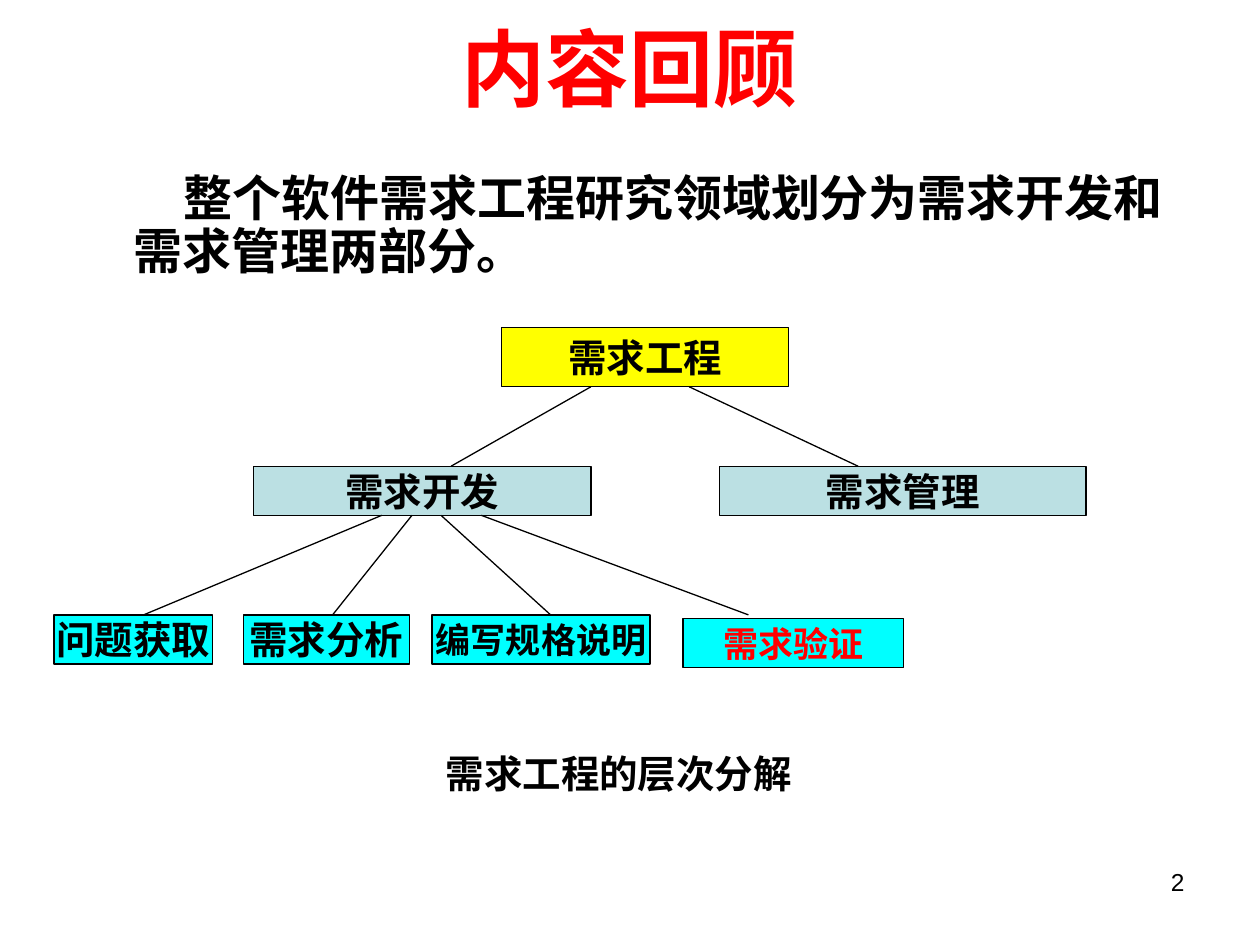
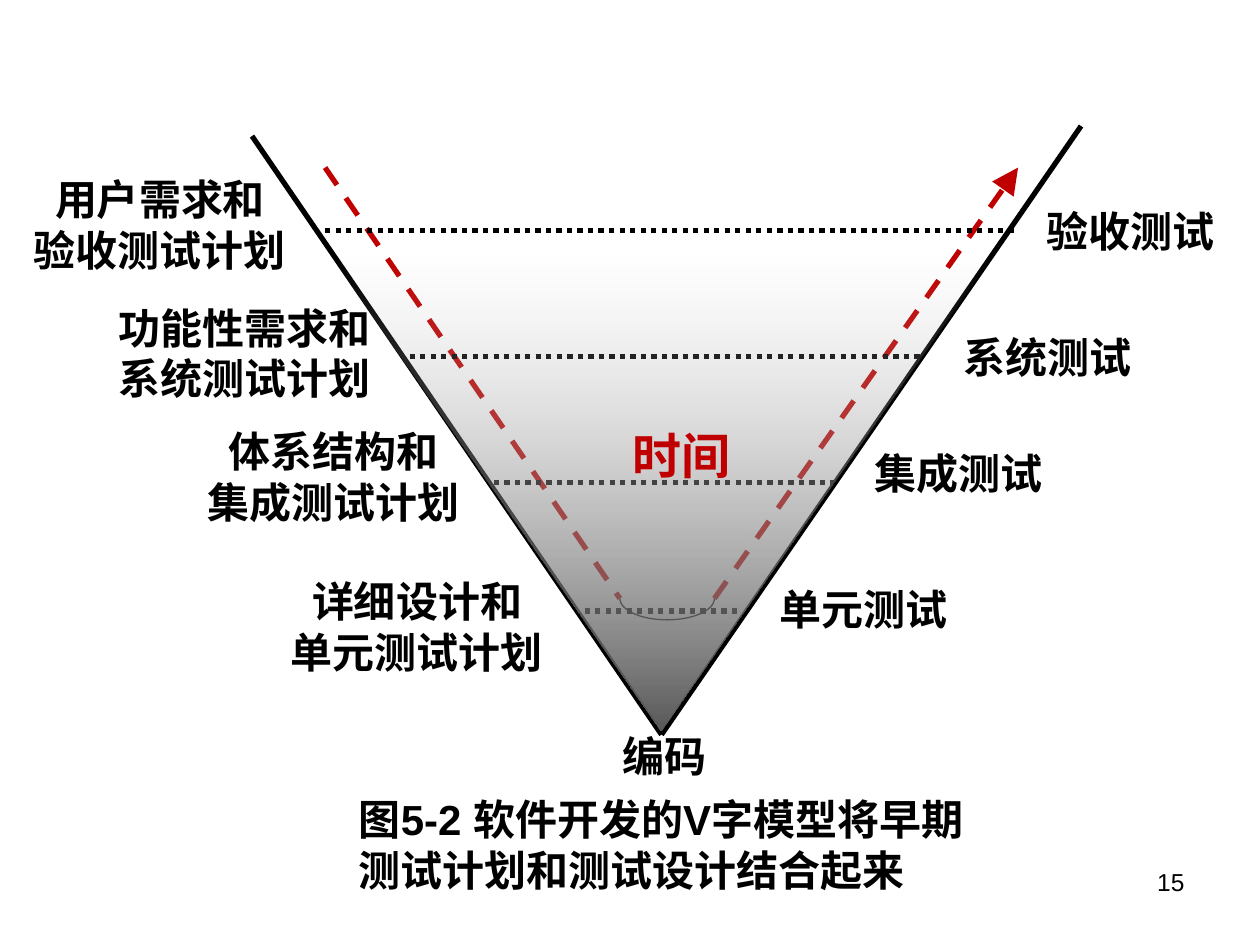
from math import cos, pi, sin

from lxml.etree import SubElement
from pptx import Presentation
from pptx.dml.color import RGBColor
from pptx.enum.dml import MSO_LINE_DASH_STYLE as DASH
from pptx.enum.shapes import MSO_CONNECTOR as CONNECTOR, MSO_SHAPE as SHAPE
from pptx.enum.text import MSO_ANCHOR as ANCHOR, MSO_AUTO_SIZE as FIT, PP_ALIGN as ALIGN
from pptx.oxml.ns import qn
from pptx.util import Pt

PX = 9144  # EMU per px, 100 px to the inch

BLACK = RGBColor(0x00, 0x00, 0x00)
RED = RGBColor(0xFF, 0x00, 0x00)
DARK_RED = RGBColor(0xC0, 0x00, 0x00)
YELLOW = RGBColor(0xFF, 0xFF, 0x00)
PALE_TEAL = RGBColor(0xBB, 0xE0, 0xE3)
CYAN = RGBColor(0x00, 0xFF, 0xFF)
SILVER = RGBColor(0xC0, 0xC0, 0xC0)
DARK_GREY = RGBColor(0x59, 0x59, 0x59)


def write_text(frame, text, *, size=24, color=BLACK, bold=True, align=ALIGN.LEFT,
               anchor=ANCHOR.TOP, wrap=True):
    """Fill a text frame, one paragraph per line of text."""
    frame.auto_size = FIT.NONE
    frame.word_wrap = wrap
    frame.vertical_anchor = anchor
    for index, line in enumerate(text.split("\n")):
        paragraph = frame.add_paragraph() if index else frame.paragraphs[0]
        paragraph.alignment = align
        run = paragraph.add_run()
        run.text = line
        run.font.name = "Arial"
        run.font.size = Pt(size)
        run.font.bold = bold
        run.font.color.rgb = color


class Deck:
    """Holds the shared style and the slide being built."""

    def __init__(self):
        self.prs = Presentation()
        self.prs.slide_width, self.prs.slide_height = self.emu(1000, 750)
        self.slide = None

    @staticmethod
    def emu(*lengths):
        return [round(length * PX) for length in lengths]

    def new_slide(self, layout, number):
        self.slide = self.prs.slides.add_slide(self.prs.slide_layouts[layout])
        self.label(number, 717, 683, 233, 52, size=14, bold=False, align=ALIGN.RIGHT)

    def place(self, holder, box):
        holder.left, holder.top, holder.width, holder.height = self.emu(*box)

    def title(self, text, *box):
        heading = self.slide.shapes.title
        self.place(heading, box)
        write_text(heading.text_frame, text, size=48, color=RED,
                   align=ALIGN.CENTER, anchor=ANCHOR.MIDDLE)

    def body(self, text, *box, margin, indent):
        statement = self.slide.placeholders[1]
        self.place(statement, box)
        write_text(statement.text_frame, text, size=28)
        paragraph = statement.text_frame.paragraphs[0]
        paragraph.line_spacing = 0.9
        paragraph.space_before = Pt(7)
        properties = paragraph._p.get_or_add_pPr()
        properties.set("marL", str(margin * PX))
        properties.set("indent", str(indent * PX))
        SubElement(properties, qn("a:buNone"))

    def label(self, text, *box, **style):
        area = self.slide.shapes.add_textbox(*self.emu(*box))
        write_text(area.text_frame, text, **style)

    def box(self, text, *box, fill, size=22, color=BLACK):
        node = self.slide.shapes.add_shape(SHAPE.RECTANGLE, *self.emu(*box))
        node.shadow.inherit = False
        node.fill.solid()
        node.fill.fore_color.rgb = fill
        self.stroke(node.line)
        write_text(node.text_frame, text, size=size, color=color, wrap=False,
                   align=ALIGN.CENTER, anchor=ANCHOR.MIDDLE)

    @staticmethod
    def stroke(line, color=BLACK, width=0.75, dash=None):
        line.color.rgb = color
        line.width = Pt(width)
        if dash:
            line.dash_style = dash

    def line(self, *ends, arrow=False, **style):
        link = self.slide.shapes.add_connector(CONNECTOR.STRAIGHT, *self.emu(*ends))
        self.stroke(link.line, **style)
        properties = link.element.spPr
        if arrow:
            SubElement(properties.find(qn("a:ln")), qn("a:tailEnd"),
                       type="triangle", w="lg", len="lg")
        SubElement(properties, qn("a:effectLst"))

    def half_ellipse(self, left, top, width, depth, steps=32):
        """Draw the lower half of an ellipse, from left to right."""
        radius = width / 2
        angles = [pi * step / steps for step in range(steps + 1)]
        points = [self.emu(left + radius - radius * cos(a), top + depth * sin(a))
                  for a in angles]
        builder = self.slide.shapes.build_freeform(*points[0])
        builder.add_line_segments(points[1:], close=False)
        curve = builder.convert_to_shape()
        curve.shadow.inherit = False
        curve.fill.background()
        self.stroke(curve.line)

    def fading_triangle(self, *box):
        """Draw a downward triangle that fades in from a clear top edge."""
        triangle = self.slide.shapes.add_shape(SHAPE.FLOWCHART_MERGE, *self.emu(*box))
        triangle.shadow.inherit = False
        triangle.line.fill.background()
        triangle.fill.gradient()
        triangle.fill.gradient_angle = 270
        for stop, color in zip(triangle.fill.gradient_stops, (SILVER, DARK_GREY)):
            stop.color.rgb = color
        clear = next(triangle.element.iter(qn("a:srgbClr")))
        SubElement(clear, qn("a:alpha"), val="0")


def build_review(deck):
    deck.new_slide(1, "2")
    deck.title("内容回顾", 75, 21, 850, 64)
    deck.body("整个软件需求工程研究领域划分为需求开发和需求管理两部分。",
              58, 133, 898, 103, margin=38, indent=40)

    # Levels of the hierarchy
    deck.box("需求工程", 398, 260, 228, 47, fill=YELLOW)
    for branch, left, width in (("需求开发", 201, 268), ("需求管理", 571, 291)):
        deck.box(branch, left, 370, width, 39, fill=PALE_TEAL)
    for activity, left, top, width, size, color in (
            ("问题获取", 43, 488, 126, 22, BLACK),
            ("需求分析", 193, 488, 132, 22, BLACK),
            ("编写规格说明", 343, 488, 173, 20, BLACK),
            ("需求验证", 542, 491, 175, 20, RED)):
        deck.box(activity, left, top, width, 39, fill=CYAN, size=size, color=color)

    # Links from each level to the next
    for parent_bottom, child_top, links in (
            (307, 370, ((469, 358), (547, 681))),
            (409, 488, ((303, 114), (327, 264), (350, 437), (382, 594)))):
        for start, end in links:
            deck.line(start, parent_bottom, end, child_top)

    deck.label("需求工程的层次分解", 344, 590, 304, 47, size=22)


def build_v_model(deck):
    deck.new_slide(6, "15")
    deck.label("图5-2 软件开发的V字模型将早期测试计划和测试设计结合起来",
               275, 625, 516, 90)

    # Sides of the V
    deck.line(200, 108, 525, 583, width=3)
    deck.line(525, 583, 858, 100, width=3)

    # Path of time, down and up again
    course = dict(color=DARK_RED, width=3, dash=DASH.DASH)
    deck.line(258, 133, 492, 475, **course)
    deck.line(567, 475, 808, 133, arrow=True, **course)
    deck.half_ellipse(492, 475, 75, 17)

    # Levels joining each plan to its test
    for left, right, y in ((258, 808, 183), (325, 733, 283),
                           (392, 667, 383), (464, 589, 485)):
        deck.line(left, y, right, y, width=3, dash=DASH.ROUND_DOT)
    deck.fading_triangle(262, 203, 525, 377)
    deck.label("时间", 492, 333, 107, 57, size=28, color=DARK_RED)

    # Plans on the left, tests on the right
    for source, stage, plan_left, plan_top, test_left, test_top in (
            ("用户需求和", "验收测试", 12, 133, 821, 158),
            ("功能性需求和", "系统测试", 79, 235, 755, 258),
            ("体系结构和", "集成测试", 150, 333, 684, 350),
            ("详细设计和", "单元测试", 216, 452, 609, 458)):
        deck.label(f"{source}\n{stage}计划", plan_left, plan_top, 230, 90,
                   align=ALIGN.CENTER)
        deck.label(stage, test_left, test_top, 163, 50)
    deck.label("编码", 484, 575, 96, 50)


def main():
    deck = Deck()
    build_review(deck)
    build_v_model(deck)
    deck.prs.save("out.pptx")


if __name__ == "__main__":
    main()
